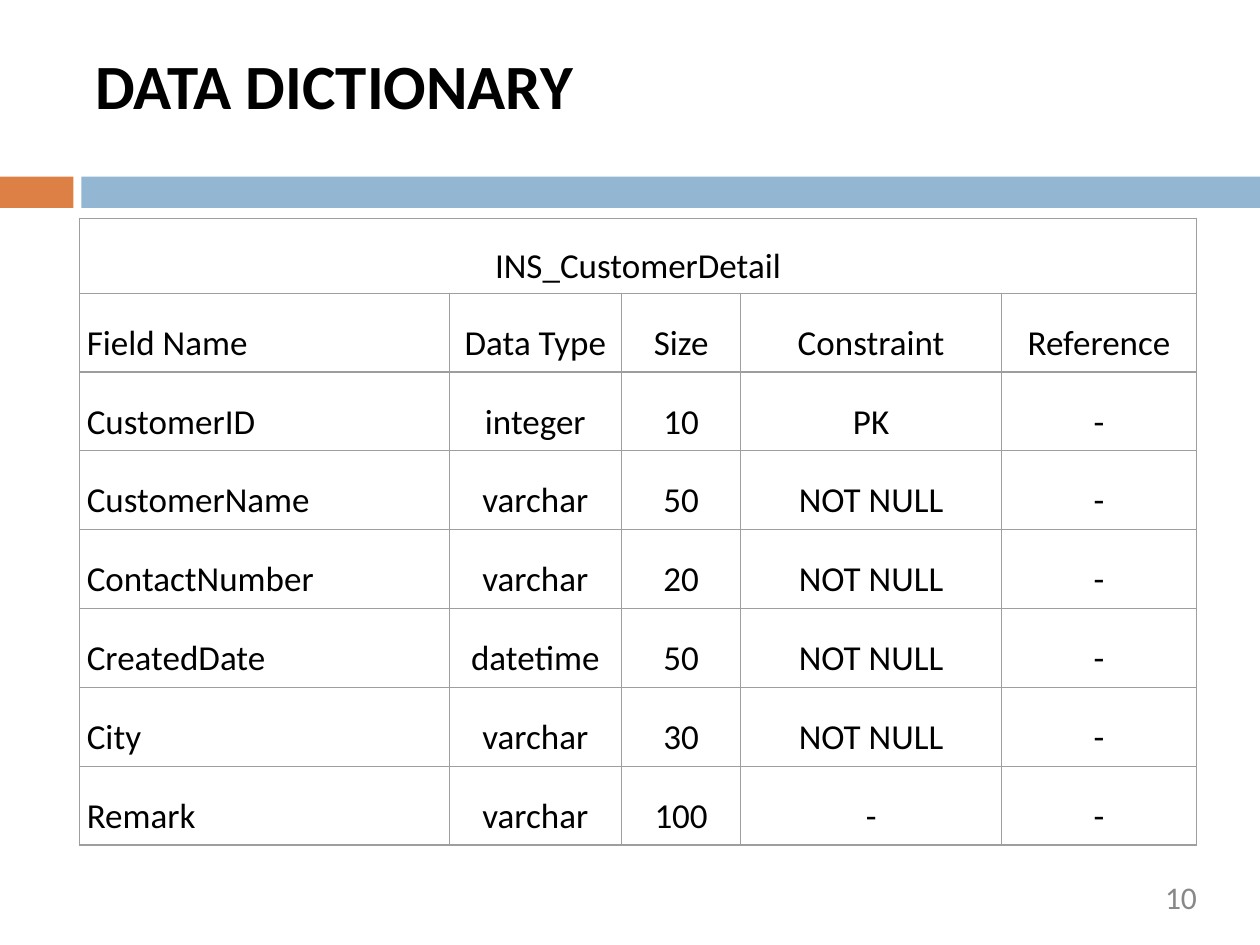
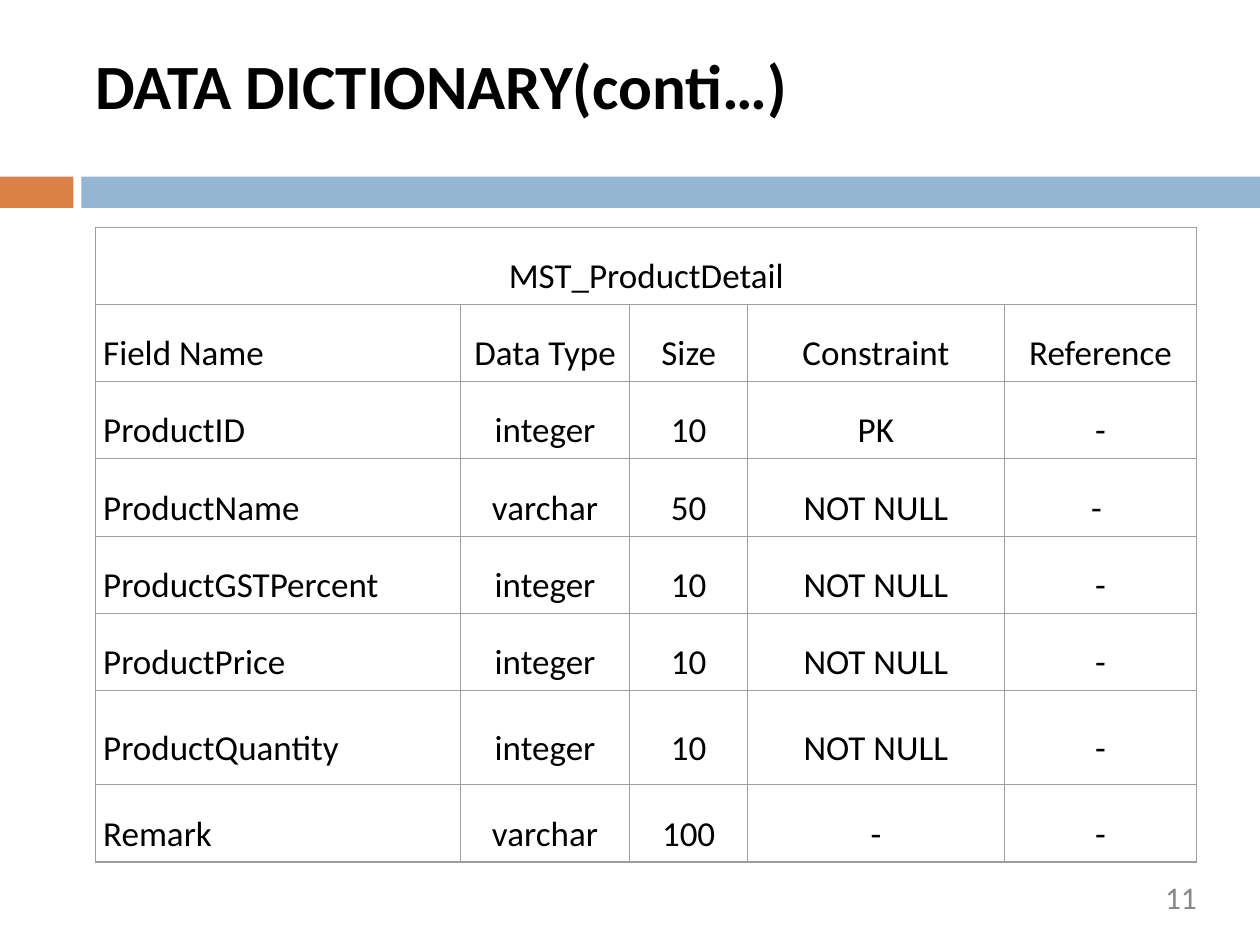
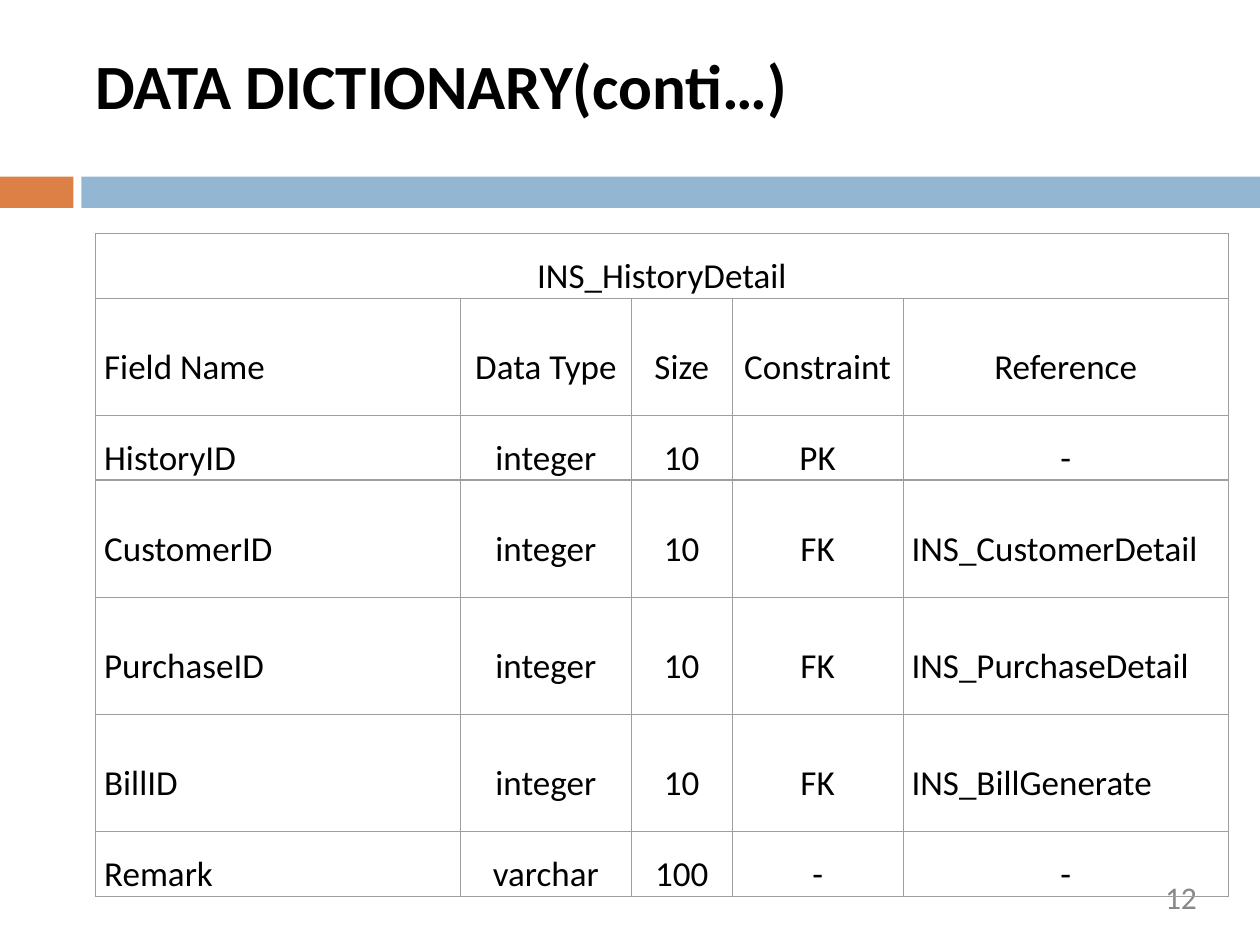
import pptx
import pptx.dml.color
import pptx.enum.shapes
import pptx.enum.text
import pptx.oxml
import pptx.oxml.ns
import pptx.util

Cm = pptx.util.Cm
Pt = pptx.util.Pt
ALIGN = pptx.enum.text.PP_ALIGN

COLORS = {
    "accent": "DD8046",
    "band": "93B6D2",
    "text": "000000",
    "number": "888888",
    "border": "9E9E9E",
}
FONT = "Calibri"
SLIDE_WIDTH, SLIDE_HEIGHT = 25.4, 19.05
BAND_BOX = (0, 3.56, SLIDE_WIDTH, 0.63)
TITLE_BOX = (1.93, 0.94, 21.67, 1.75)
NUMBER_BOX = (18.29, 17.7, 5.84, 0.97)

HEADINGS = ("Field Name", "Data Type", "Size", "Constraint", "Reference")
WIDE_CONSTRAINT = (33.1, 15.4, 10.7, 23.3, 17.5)
WIDE_REFERENCE = (32.2, 15.1, 8.9, 15.1, 28.7)

PAGES = [
    {
        "title": "DATA DICTIONARY",
        "number": "10",
        "box": (1.6, 4.4, 22.53, 12.64),
        "columns": WIDE_CONSTRAINT,
        "rows": (0.95, 1, 1, 1, 1, 1, 1, 1),
        "margin": 0.15,
        "caption": "INS_CustomerDetail",
        "fields": [
            ("CustomerID", "integer", "10", "PK", "-"),
            ("CustomerName", "varchar", "50", "NOT NULL", "-"),
            ("ContactNumber", "varchar", "20", "NOT NULL", "-"),
            ("CreatedDate", "datetime", "50", "NOT NULL", "-"),
            ("City", "varchar", "30", "NOT NULL", "-"),
            ("Remark", "varchar", "100", "-", "-"),
        ],
    },
    {
        "title": "DATA DICTIONARY(conti…)",
        "number": "11",
        "box": (1.93, 4.58, 22.2, 12.8),
        "columns": WIDE_CONSTRAINT,
        "rows": (1, 1, 1, 1, 1, 1, 1.22, 1),
        "margin": 0.15,
        "caption": "MST_ProductDetail",
        "fields": [
            ("ProductID", "integer", "10", "PK", "-"),
            ("ProductName", "varchar", "50", "NOT NULL", "- "),
            ("ProductGSTPercent", "integer", "10", "NOT NULL", "-"),
            ("ProductPrice", "integer", "10", "NOT NULL", "-"),
            ("ProductQuantity", "integer", "10", "NOT NULL", "-"),
            ("Remark", "varchar", "100", "-", "-"),
        ],
    },
    {
        "title": "DATA DICTIONARY(conti…)",
        "number": "12",
        "box": (1.93, 4.71, 22.83, 13.36),
        "columns": WIDE_REFERENCE,
        "rows": (1.3, 2.36, 1.3, 2.36, 2.36, 2.36, 1.3),
        "margin": 0.17,
        "caption": "INS_HistoryDetail",
        "fields": [
            ("HistoryID", "integer", "10", "PK", "-"),
            ("CustomerID", "integer", "10", "FK", "INS_CustomerDetail"),
            ("PurchaseID", "integer", "10", "FK", "INS_PurchaseDetail"),
            ("BillID", "integer", "10", "FK", "INS_BillGenerate"),
            ("Remark", "varchar", "100", "-", "-"),
        ],
    },
]


def rgb(name):
    """Return the named palette colour."""
    return pptx.dml.color.RGBColor.from_string(COLORS[name])


def write(text_frame, text, size, color="text", align=ALIGN.LEFT, bold=False):
    """Write one styled run into the first paragraph and return the paragraph."""
    paragraph = text_frame.paragraphs[0]
    paragraph.alignment = align
    run = paragraph.add_run()
    run.text = text
    run.font.name = FONT
    run.font.size = Pt(size)
    run.font.bold = bold
    run.font.color.rgb = rgb(color)
    return paragraph


def add_text(slide, box, text, size, **style):
    """Add a text box without insets holding one styled line."""
    shape = slide.shapes.add_textbox(*map(Cm, box))
    frame = shape.text_frame
    frame.word_wrap = True
    frame.margin_left = frame.margin_right = 0
    frame.margin_top = frame.margin_bottom = 0
    write(frame, text, size, **style)


def add_band(slide, box):
    """Split the box into a short accent block and a long band."""
    left, top, width, height = box
    accent_width, band_offset = 1.48, 1.64
    blocks = [
        ("accent", left, accent_width),
        ("band", left + band_offset, width - band_offset),
    ]
    for color, block_left, block_width in blocks:
        shape = slide.shapes.add_shape(
            pptx.enum.shapes.MSO_SHAPE.RECTANGLE,
            Cm(block_left), Cm(top), Cm(block_width), Cm(height),
        )
        shape.shadow.inherit = False
        shape.fill.solid()
        shape.fill.fore_color.rgb = rgb(color)
        shape.line.fill.background()


def style_cell(cell, margin):
    """Give a cell thin borders, no fill and centred anchoring."""
    properties = cell._tc.get_or_add_tcPr()
    for side in "LRTB":
        properties.append(pptx.oxml.parse_xml(
            f'<a:ln{side} {pptx.oxml.ns.nsdecls("a")} w="{Pt(0.75)}"><a:solidFill>'
            f'<a:srgbClr val="{COLORS["border"]}"/></a:solidFill></a:ln{side}>'
        ))
    cell.fill.background()
    cell.vertical_anchor = pptx.enum.text.MSO_ANCHOR.MIDDLE
    cell.margin_left = cell.margin_right = Cm(margin)
    cell.margin_top = cell.margin_bottom = 0


def share_out(lines, weights, length):
    """Yield each table line with its weighted share of the length."""
    for line, weight in zip(lines, weights):
        yield line, Cm(length * weight / sum(weights))


def add_dictionary(slide, box, page):
    """Fill the box with a captioned table of field definitions."""
    records = [(page["caption"],), HEADINGS, *page["fields"]]
    frame = slide.shapes.add_table(len(records), len(HEADINGS), *map(Cm, box))
    table = frame.table
    table.first_row = table.horz_banding = False
    for column, width in share_out(table.columns, page["columns"], box[2]):
        column.width = width
    for row, height in share_out(table.rows, page["rows"], box[3]):
        row.height = height
    for cell in table.iter_cells():
        style_cell(cell, page["margin"])
    table.cell(0, 0).merge(table.cell(0, len(HEADINGS) - 1))
    for row_index, record in enumerate(records):
        for column_index, value in enumerate(record):
            is_name = column_index == 0 or value.startswith("INS_")
            align = ALIGN.LEFT if row_index and is_name else ALIGN.CENTER
            cell = table.cell(row_index, column_index)
            paragraph = write(cell.text_frame, value, 20, align=align)
            paragraph.line_spacing = 1.5


def add_page(presentation, page):
    """Add one slide with its title, band, page number and table."""
    slide = presentation.slides.add_slide(presentation.slide_layouts[6])
    add_band(slide, BAND_BOX)
    add_text(slide, TITLE_BOX, page["title"], 36, bold=True)
    add_text(slide, NUMBER_BOX, page["number"], 18, color="number", align=ALIGN.RIGHT)
    add_dictionary(slide, page["box"], page)


def main():
    """Build the presentation and save it."""
    presentation = pptx.Presentation()
    presentation.slide_width = Cm(SLIDE_WIDTH)
    presentation.slide_height = Cm(SLIDE_HEIGHT)
    for page in PAGES:
        add_page(presentation, page)
    presentation.save("out.pptx")


if __name__ == "__main__":
    main()
